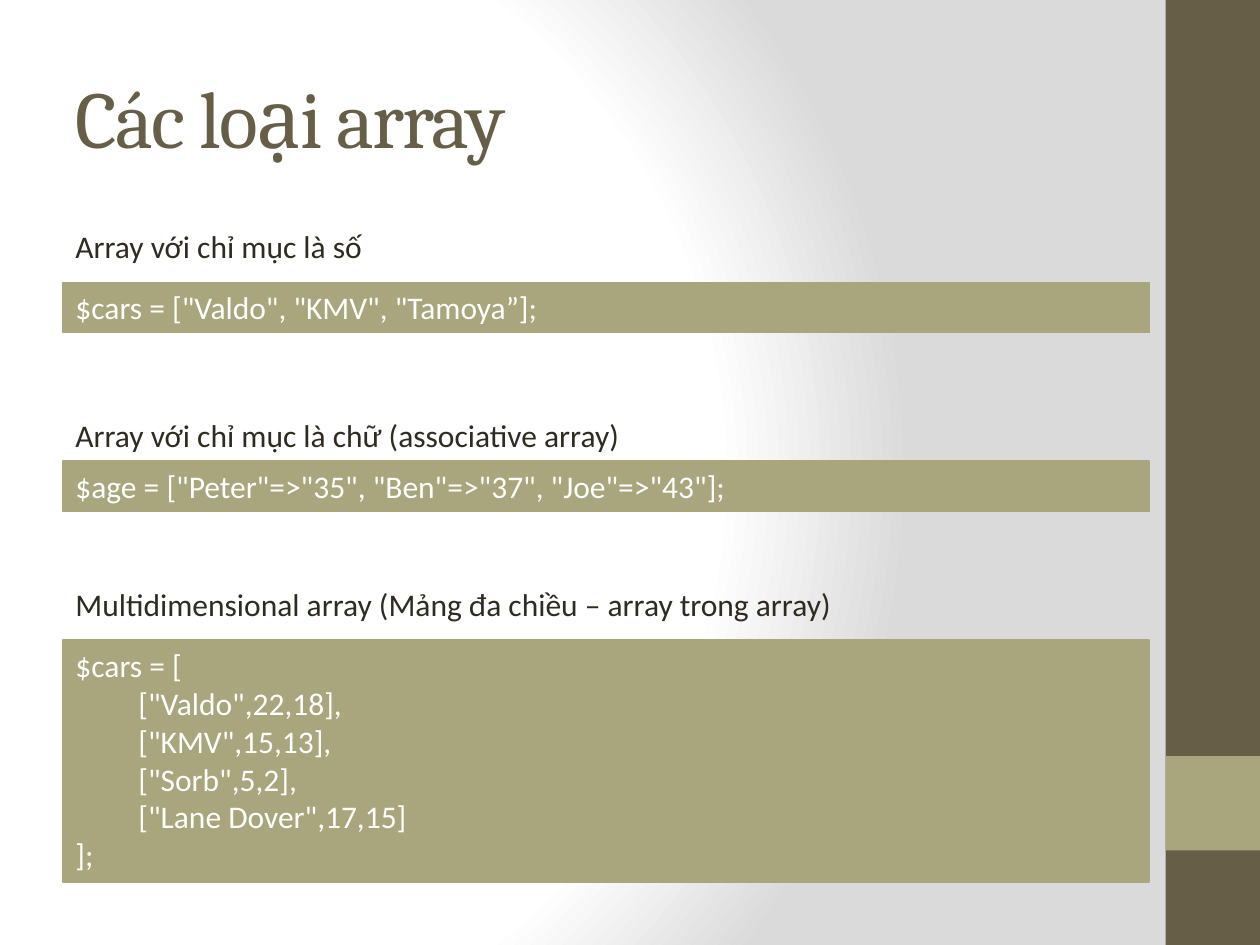
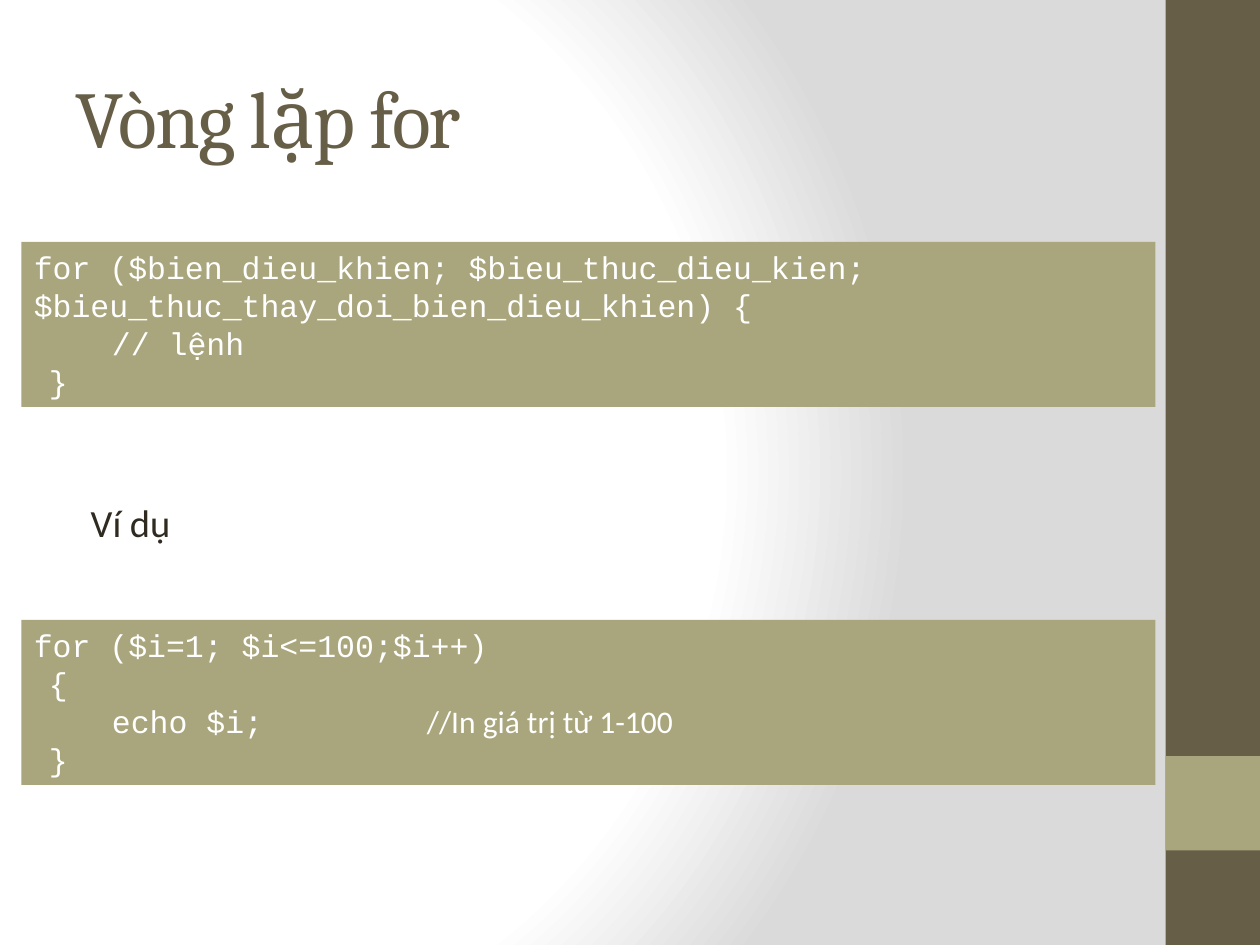
from pptx import Presentation
from pptx.dml.color import RGBColor
from pptx.enum.shapes import MSO_SHAPE as Shape
from pptx.enum.text import MSO_ANCHOR as Anchor, MSO_AUTO_SIZE as AutoSize, PP_ALIGN as Align
from pptx.oxml import parse_xml
from pptx.oxml.ns import nsdecls, qn
from pptx.util import Inches, Pt

BROWN = RGBColor(0x67, 0x5E, 0x47)
OLIVE = RGBColor(0xA9, 0xA5, 0x7C)
INK = RGBColor(0x2F, 0x2B, 0x20)
WHITE = RGBColor(0xFF, 0xFF, 0xFF)


def add_panel(slide, left, top, width, height, color, outlined=False):
    panel = slide.shapes.add_shape(
        Shape.RECTANGLE, Inches(left), Inches(top), Inches(width), Inches(height))
    panel.shadow.inherit = False
    panel.fill.solid()
    panel.fill.fore_color.rgb = color
    if outlined:
        panel.line.color.rgb = color
        panel.line.width = Pt(0.75)
    else:
        panel.line.fill.background()
    return panel


def write(shape, lines, size, color, font="Calibri", anchor=Anchor.TOP,
          fit=AutoSize.SHAPE_TO_FIT_TEXT):
    frame = shape.text_frame
    frame.word_wrap = True
    frame.auto_size = fit
    frame.vertical_anchor = anchor
    for number, runs in enumerate(lines):
        paragraph = frame.add_paragraph() if number else frame.paragraphs[0]
        paragraph.alignment = Align.LEFT
        for text, run_font in runs:
            run = paragraph.add_run()
            run.text = text
            run.font.name = run_font or font
            run.font.size = Pt(size)
            run.font.color.rgb = color
    return frame.paragraphs


prs = Presentation()
prs.slide_width = Inches(10)
prs.slide_height = Inches(7.5)
master = prs.slide_master

master.background.fill.gradient()
glow = master.element.find(".//" + qn("a:gradFill"))
glow.getparent().replace(glow, parse_xml(
    f'<a:gradFill {nsdecls("a")} rotWithShape="1"><a:gsLst>'
    '<a:gs pos="0"><a:srgbClr val="FFFFFF"/></a:gs>'
    '<a:gs pos="75000"><a:srgbClr val="FFFFFF"/></a:gs>'
    '<a:gs pos="100000"><a:srgbClr val="DADADA"/></a:gs></a:gsLst>'
    '<a:path path="circle">'
    '<a:fillToRect l="20000" t="50000" r="100000" b="50000"/></a:path></a:gradFill>'))

arrays = prs.slides.add_slide(prs.slide_layouts[5])
loops = prs.slides.add_slide(prs.slide_layouts[1])

side_band = add_panel(arrays, 9.25, 0, 0.75, 7.5, BROWN)
side_square = add_panel(arrays, 9.25, 6, 0.75, 0.75, OLIVE)
for position, band in enumerate((side_band, side_square), start=2):
    master.element.cSld.spTree.insert(position, band.element)

for slide, heading in ((arrays, "Các loại array"), (loops, "Vòng lặp for")):
    title = slide.shapes.title
    title.left, title.top = Inches(0.5), Inches(0.3)
    title.width, title.height = Inches(8.33), Inches(1.25)
    heading_line = write(title, [[(heading, None)]], 46, BROWN, "Cambria",
                         Anchor.MIDDLE, AutoSize.NONE)[0]
    heading_line.runs[0].font._element.set("spc", "-100")

array_kinds = [
    (1.75, "Array với chỉ mục là số", 2.24, 0.4,
     ['$cars = ["Valdo", "KMV", "Tamoya”];']),
    (3.25, "Array với chỉ mục là chữ (associative array)", 3.66, 0.4,
     ['$age = ["Peter"=>"35", "Ben"=>"37", "Joe"=>"43"];']),
    (4.59, "Multidimensional array (Mảng đa chiều – array trong array)", 5.08, 1.92,
     ["$cars = [", '\t["Valdo",22,18],', '\t["KMV",15,13],', '\t["Sorb",5,2],',
      '\t["Lane Dover",17,15]', "];"]),
]
for label_top, label, code_top, code_height, code in array_kinds:
    caption = arrays.shapes.add_textbox(
        Inches(0.5), Inches(label_top), Inches(8.62), Inches(0.4))
    write(caption, [[(label, None)]], 18, INK)
    sample = add_panel(arrays, 0.5, code_top, 8.62, code_height, OLIVE, outlined=True)
    write(sample, [[(line, None)] for line in code], 18, WHITE)

example = loops.placeholders[1]
example.left, example.top = Inches(0.5), Inches(1.75)
example.width, example.height = Inches(8.33), Inches(5.25)
example_line = write(example, [[("Ví dụ", None)]], 22, INK, fit=AutoSize.NONE)[0]
example.text_frame.margin_top = Inches(2.21)
example_line.space_before = Pt(0)
example_format = example_line._p.get_or_add_pPr()
example_format.set("marL", str(Inches(0.12)))
example_format.set("indent", "0")
example_format.append(parse_xml(f'<a:buNone {nsdecls("a")}/>'))

loop_blocks = [
    (1.92, [
        [("for ($bien_dieu_khien; $bieu_thuc_dieu_kien; "
          "$bieu_thuc_thay_doi_bien_dieu_khien) {", None)],
        [("\t// lệnh", None)],
        [("}", None)],
    ]),
    (4.92, [
        [("for ($i=1; $i<=100;$i++)", None)],
        [("{", None)],
        [("\techo $i; \t\t\t", None), ("//In giá trị từ 1-100", "Calibri")],
        [("}", None)],
    ]),
]
for block_top, code in loop_blocks:
    block = add_panel(loops, 0.17, block_top, 9, 1.31, OLIVE)
    for line in write(block, code, 18, WHITE, "Courier New")[1:]:
        line._p.get_or_add_pPr().set("marL", str(Inches(0.12)))

prs.save("out.pptx")
